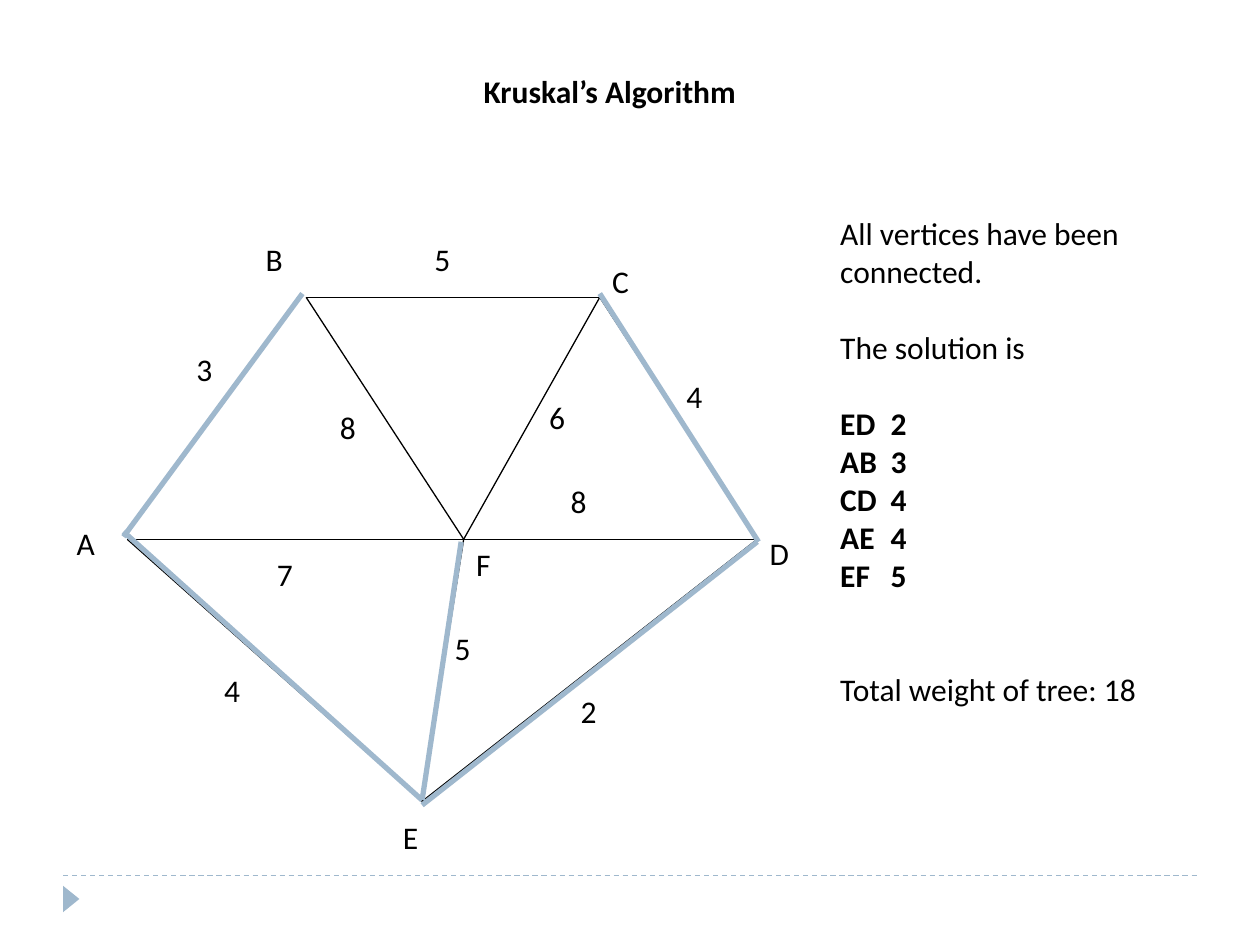
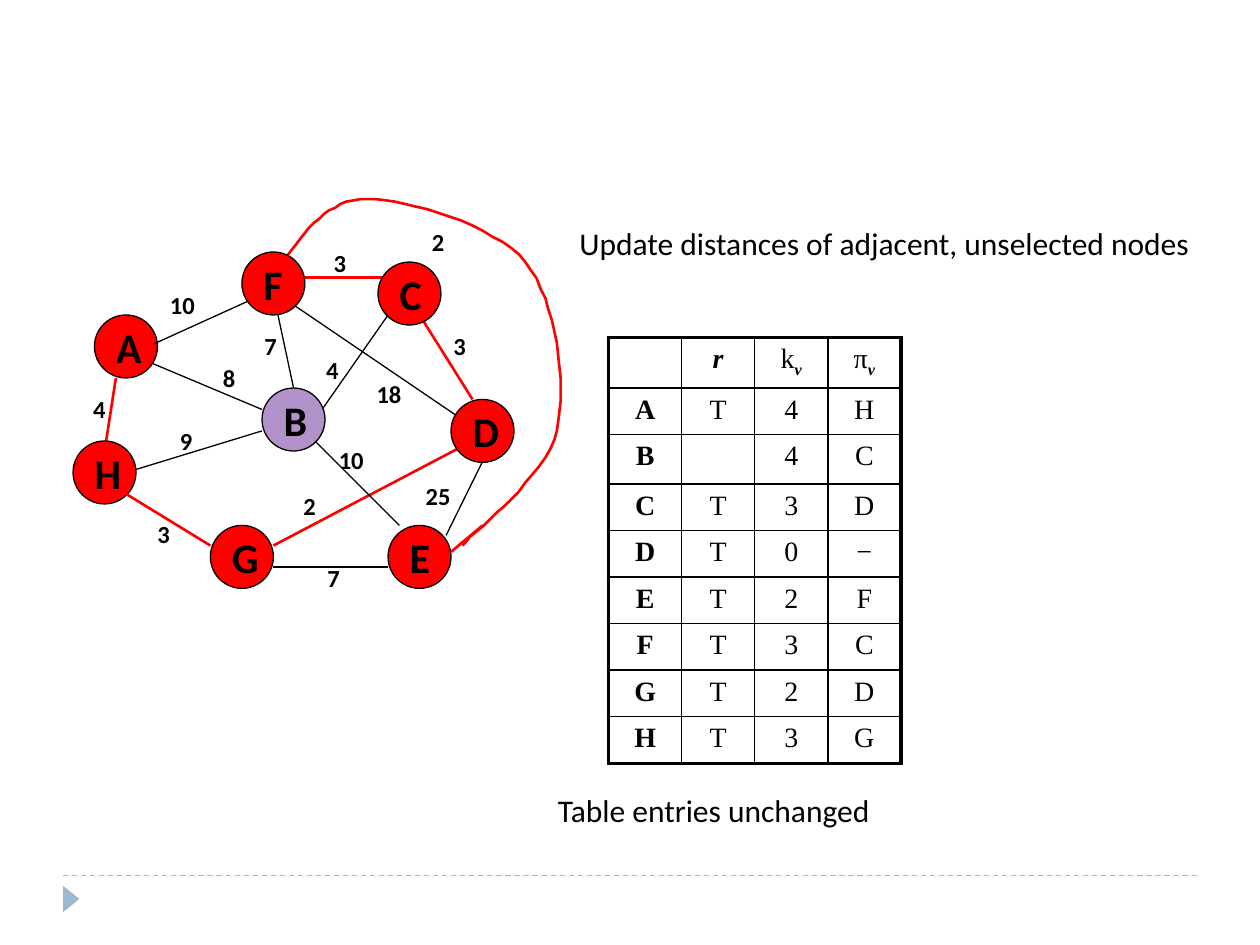
"""Build two slides on minimum spanning trees."""
from dataclasses import dataclass
from typing import Any, NamedTuple

from lxml.etree import SubElement
from pptx import Presentation
from pptx.dml.color import RGBColor
from pptx.enum.dml import MSO_LINE
from pptx.enum.shapes import MSO_CONNECTOR, MSO_SHAPE
from pptx.enum.text import MSO_ANCHOR, MSO_AUTO_SIZE, PP_ALIGN
from pptx.oxml.ns import qn
from pptx.util import Emu, Pt

SCALE = 9144
BLACK, RED, BLUE, LILAC = "000000", "FF0000", "9FB8CD", "B292CA"
SANS, SERIF = "Calibri", "Times New Roman"


class Box(NamedTuple):
    left: int
    top: int
    width: int
    height: int


class Edge(NamedTuple):
    x1: int
    y1: int
    x2: int
    y2: int
    color: str = BLACK
    weight: float = 0.75


class Label(NamedTuple):
    text: str
    left: int
    top: int


@dataclass
class Node:
    name: str
    left: int
    top: int
    color: str = RED


@dataclass
class Line:
    text: str
    gap: int = 0
    bold: bool = False


def px(size: int) -> Emu:
    """Turn px into EMU."""
    return Emu(size * SCALE)


def hue(code: str) -> RGBColor:
    """Turn a hex string into a colour."""
    return RGBColor.from_string(code)


def apply(item: Any, form: dict[str, Any]) -> None:
    """Set each format value on the item."""
    for key, value in form.items():
        setattr(item, key, value)


def add_run(para: Any, text: str, size: int, bold: bool = False,
            face: str = SANS, slant: bool = False) -> Any:
    """Add one formatted run to a paragraph."""
    run = para.add_run()
    run.text = text
    apply(run.font, {"name": face, "size": Pt(size), "bold": bold, "italic": slant})
    run.font.color.rgb = hue(BLACK)
    return run


def place(shape: Any, box: Box) -> None:
    """Move and size a shape."""
    apply(shape, {key: px(value) for key, value in box._asdict().items()})


def write(slide: Any, text: str, box: Box, size: int = 18, bold: bool = False) -> None:
    """Add a text box with one line."""
    frame = slide.shapes.add_textbox(*map(px, box)).text_frame
    frame.word_wrap = True
    add_run(frame.paragraphs[0], text, size, bold)


def mark(slide: Any, labels: list[Label], side: int, size: int, bold: bool) -> None:
    """Add the names and weights of a graph."""
    for text, left, top in labels:
        width = side if len(text) == 1 else 52
        write(slide, text, Box(left, top, width, side), size, bold)


def link(slide: Any, edge: Edge) -> Any:
    """Draw one straight line."""
    line = slide.shapes.add_connector(MSO_CONNECTOR.STRAIGHT, *map(px, edge[:4]))
    line.line.color.rgb = hue(edge.color)
    line.line.width = Pt(edge.weight)
    SubElement(line._element.spPr, qn("a:effectLst"))
    return line


def link_all(slide: Any, edges: list[Edge]) -> None:
    """Draw a list of lines."""
    for edge in edges:
        link(slide, edge)


def foot(slide: Any) -> None:
    """Draw the dashed rule and the corner marker."""
    link(slide, Edge(50, 695, 950, 695, BLUE)).line.dash_style = MSO_LINE.DASH
    mark = slide.shapes.add_shape(MSO_SHAPE.ISOSCELES_TRIANGLE, *map(px, Box(46, 707, 21, 13)))
    mark.rotation = 90
    mark.shadow.inherit = False
    mark.fill.solid()
    mark.fill.fore_color.rgb = hue(BLUE)
    mark.line.fill.background()


def dot(slide: Any, node: Node) -> None:
    """Draw one round node with its name."""
    disc = slide.shapes.add_shape(MSO_SHAPE.OVAL, *map(px, Box(node.left, node.top, 50, 50)))
    disc.shadow.inherit = False
    disc.fill.solid()
    disc.fill.fore_color.rgb = hue(node.color)
    disc.line.color.rgb = hue(BLACK)
    disc.line.width = Pt(0.75)
    frame = disc.text_frame
    apply(frame, {"word_wrap": False, "vertical_anchor": MSO_ANCHOR.MIDDLE})
    frame.paragraphs[0].alignment = PP_ALIGN.LEFT
    add_run(frame.paragraphs[0], node.name, 24, True)


def bend(slide: Any, start: tuple, curves: list[tuple]) -> None:
    """Draw a smooth red path through Bezier curves."""
    points, steps = [start], 16
    for one, two, end in curves:
        first = points[-1]
        for step in range(1, steps + 1):
            t = step / steps
            u = 1 - t
            points.append(tuple(
                u**3 * a + 3 * u * u * t * b + 3 * u * t * t * c + t**3 * d
                for a, b, c, d in zip(first, one, two, end)))
    pen = slide.shapes.build_freeform(*start, scale=SCALE)
    pen.add_line_segments(points[1:], close=False)
    path = pen.convert_to_shape()
    path.shadow.inherit = False
    path.fill.background()
    path.line.color.rgb = hue(RED)
    path.line.width = Pt(1.5)


def rim(cell: Any, sides: dict[str, float]) -> None:
    """Set the borders of a cell."""
    props = cell._tc.get_or_add_tcPr()
    for index, (side, weight) in enumerate(sides.items()):
        line = props.makeelement(qn(f"a:{side}"), {"w": str(Pt(weight))})
        fill = SubElement(line, qn("a:solidFill"))
        SubElement(fill, qn("a:srgbClr"), val=BLACK)
        props.insert(index, line)


def grid(slide: Any, rows: list[str]) -> None:
    """Add the table of nodes, distances and parents."""
    count, width = len(rows), 4
    table = slide.shapes.add_table(count, width, *map(px, Box(483, 268, 232, 338))).table
    apply(table, {"first_row": False, "horz_banding": False})
    for column in table.columns:
        column.width = px(58)
    for r, row in enumerate(rows):
        table.rows[r].height = px({0: 40, 2: 39}.get(r, 37))
        for c, text in enumerate(row.split(",")):
            cell = table.cell(r, c)
            cell.fill.background()
            cell.margin_bottom = 0
            rim(cell, {"lnL": 1 if c else 2.25, "lnR": 1 if c < width - 1 else 2.25,
                       "lnT": 1 if r else 2.25, "lnB": 1 if r < count - 1 else 2.25})
            para = cell.text_frame.paragraphs[0]
            para.alignment = PP_ALIGN.CENTER
            if text:
                base, _, sub = text.partition("_")
                add_run(para, base, 16, c == 0 or base == "r", SERIF, base == "r")
                if sub:
                    run = add_run(para, sub, 16, True, SERIF, True)
                    run.font._element.set("baseline", "-25000")


def list_lines(slide: Any, lines: list[Line], box: Box) -> None:
    """Add the solution text, with weights on a tab stop."""
    frame = slide.shapes.add_textbox(*map(px, box)).text_frame
    frame.word_wrap = True
    for index, line in enumerate(lines):
        para = frame.add_paragraph() if index else frame.paragraphs[0]
        if "\t" in line.text:
            tabs = SubElement(para._p.get_or_add_pPr(), qn("a:tabLst"))
            SubElement(tabs, qn("a:tab"), pos=str(px(40)), algn="l")
        if line.gap:
            para.space_before = Pt(line.gap)
        add_run(para, line.text, 18, line.bold)


def kruskal(deck: Any) -> None:
    """Build the slide with the finished tree."""
    slide = deck.slides.add_slide(deck.slide_layouts[5])
    foot(slide)
    title = slide.shapes.title
    place(title, Box(90, 52, 788, 50))
    apply(title.text_frame, {"vertical_anchor": MSO_ANCHOR.TOP, "word_wrap": True,
                             "auto_size": MSO_AUTO_SIZE.NONE})
    head = title.text_frame.paragraphs[0]
    head.alignment = PP_ALIGN.CENTER
    add_run(head, "Kruskal’s Algorithm", 18, True)

    tree = ["ED\t2", "AB\t3", "CD\t4", "AE\t4", "EF\t5"]
    list_lines(slide, [
        Line("All vertices have been"), Line("connected."), Line("The solution is", 22),
        *[Line(text, 0 if index else 22, True) for index, text in enumerate(tree)],
        Line("Total weight of tree: 18", 44)], Box(657, 165, 315, 477))

    spots = {"A": (101, 428), "B": (243, 236), "C": (476, 236),
             "D": (601, 428), "E": (335, 636), "F": (368, 428)}
    link_all(slide, [Edge(*spots[a], *spots[b])
                     for a, b in "BC CD AF FD BF FC AE EF ED".split()])
    mark(slide, [
        Label("A", 51, 411), Label("F", 368, 428), Label("B", 201, 186),
        Label("C", 476, 203), Label("D", 601, 419), Label("E", 310, 644),
        Label("2", 451, 544), Label("7", 210, 436), Label("4", 168, 528),
        Label("5", 351, 494), Label("8", 260, 319), Label("6", 426, 311),
        Label("4", 535, 294), Label("5", 335, 186), Label("3", 146, 273),
        Label("8", 443, 378)], 50, 18, False)
    link_all(slide, [Edge(*ends, BLUE, 3) for ends in [
        (98, 426, 240, 233), (335, 639, 601, 430), (476, 233, 602, 430),
        (98, 422, 335, 635), (366, 430, 335, 635)]])


def prim(deck: Any) -> None:
    """Build the slide with the node graph and its table."""
    slide = deck.slides.add_slide(deck.slide_layouts[6])
    foot(slide)
    bend(slide, (225, 208), [
        ((242, 183), (260, 158), (292, 158)), ((324, 158), (392, 178), (417, 208)),
        ((442, 239), (450, 304), (442, 342)), ((433, 379), (379, 418), (367, 433))])
    link_all(slide, [
        Edge(395, 342, 354, 425), Edge(217, 233, 233, 308), Edge(250, 333, 308, 250),
        Edge(367, 333, 233, 242), Edge(100, 375, 208, 342), Edge(108, 283, 208, 325),
        Edge(217, 433, 375, 350, RED, 1.5), Edge(83, 358, 92, 300, RED, 1.5),
        Edge(238, 220, 317, 220, RED, 1.5), Edge(333, 250, 375, 317, RED, 1.5)])
    for node in [Node("A", 75, 250), Node("H", 58, 350), Node("B", 208, 308, LILAC),
                 Node("F", 192, 200), Node("E", 308, 417), Node("D", 358, 317),
                 Node("C", 300, 208), Node("G", 167, 417)]:
        dot(slide, node)
    link_all(slide, [
        Edge(250, 350, 317, 417), Edge(308, 450, 217, 450), Edge(122, 273, 197, 239),
        Edge(167, 433, 100, 392, RED, 1.5), Edge(383, 417, 358, 438, RED, 1.5)])
    mark(slide, [
        Label("4", 64, 308), Label("25", 328, 377), Label("7", 250, 442),
        Label("2", 231, 385), Label("10", 259, 348), Label("18", 289, 296),
        Label("3", 350, 258), Label("4", 249, 277), Label("3", 255, 192),
        Label("7", 200, 258), Label("8", 167, 283), Label("9", 133, 333),
        Label("3", 115, 407), Label("10", 125, 225), Label("2", 333, 175)], 33, 14, True)
    write(slide, "Update distances of adjacent, unselected nodes", Box(450, 173, 533, 77))
    grid(slide, [",r,k_v,π_v", "A,T,4,H", "B,,4,C", "C,T,3,D", "D,T,0,−",
                 "E,T,2,F", "F,T,3,C", "G,T,2,D", "H,T,3,G"])
    write(slide, "Table entries unchanged", Box(433, 623, 450, 43))


def main() -> None:
    """Build and save the deck."""
    deck = Presentation()
    apply(deck, {"slide_width": px(1000), "slide_height": px(750)})
    kruskal(deck)
    prim(deck)
    deck.save("out.pptx")


if __name__ == "__main__":
    main()
